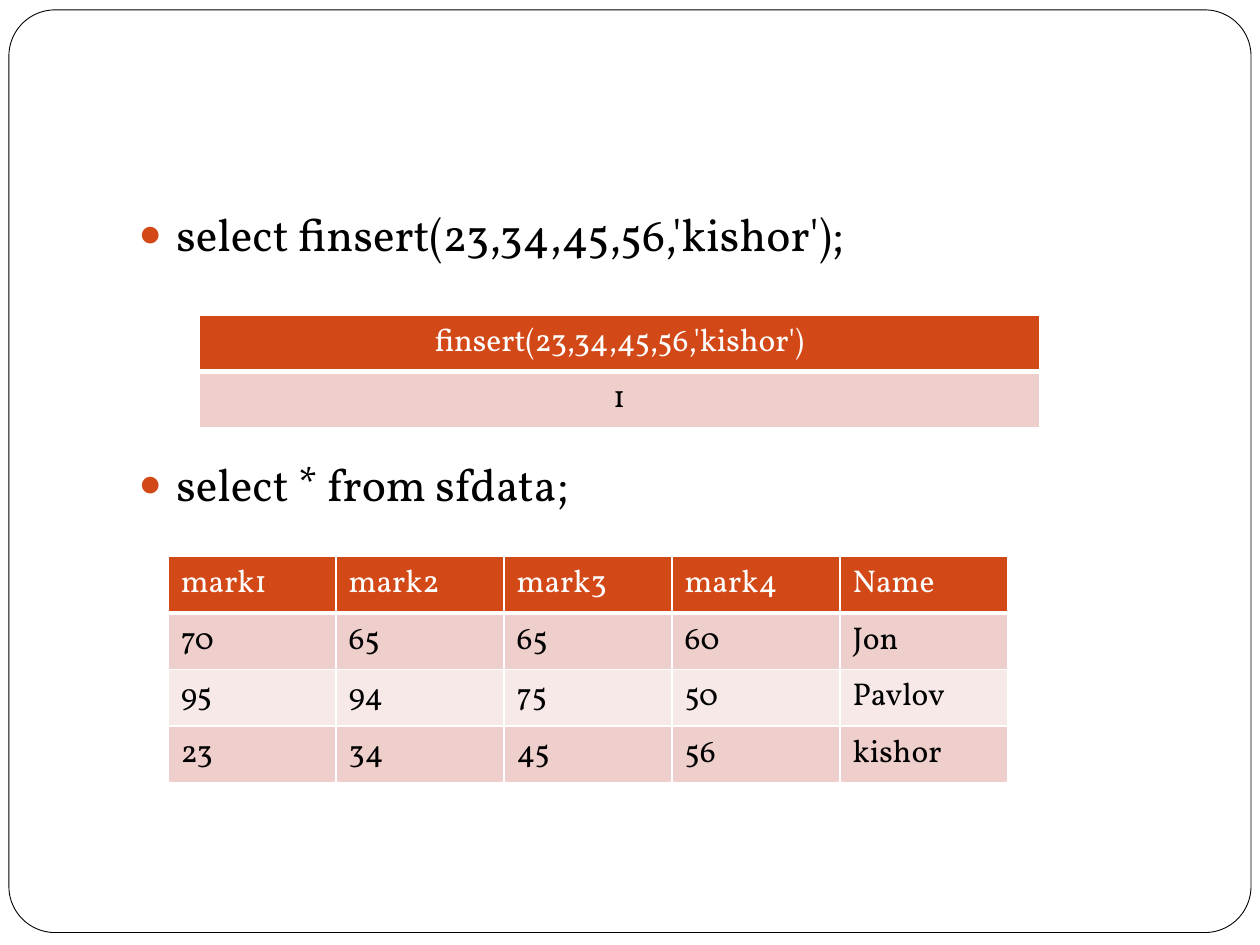
"""Build a slide showing two SQL queries with their result tables."""
import pptx
import pptx.dml.color
import pptx.enum.shapes
import pptx.enum.text
import pptx.oxml
import pptx.oxml.ns
import pptx.util

Cm, Pt = pptx.util.Cm, pptx.util.Pt
ALIGN = pptx.enum.text.PP_ALIGN

THEME = {
    "font": "Vollkorn", "query_size": Pt(26), "cell_size": Pt(18),
    "text": "000000", "paper": "FFFFFF", "accent": "D34817",
    "bands": ("EFCFCC", "F7E9E8"),
}
QUERIES = [
    ("select finsert(23,34,45,56,'kishor');", Pt(5.8)),
    ("select * from sfdata;", Pt(112)),
]
RESULTS = [
    {"left": Cm(4.02), "top": Cm(6.35), "align": ALIGN.CENTER,
     "rows": [["finsert(23,34,45,56,'kishor')"], ["1"]]},
    {"left": Cm(3.39), "top": Cm(11.22), "align": ALIGN.LEFT,
     "rows": [["mark1", "mark2", "mark3", "mark4", "Name"],
              ["70", "65", "65", "60", "Jon"],
              ["95", "94", "75", "50", "Pavlov"],
              ["23", "34", "45", "56", "kishor"]]},
]
RESULT_WIDTH, ROW_HEIGHT = Cm(16.93), Cm(1.03)


def apply(target, **values):
    for name, value in values.items():
        setattr(target, name, value)


def rgb(color):
    return pptx.dml.color.RGBColor.from_string(color)


def style(paragraph, size, color):
    for run in paragraph.runs:
        apply(run.font, name=THEME["font"], size=size, bold=False)
        run.font.color.rgb = rgb(color)


def add_xml(parent, tag, attributes="", content=""):
    declared = pptx.oxml.ns.nsdecls("a")
    parent.append(pptx.oxml.parse_xml(
        f"<a:{tag} {declared} {attributes}>{content}</a:{tag}>"))


def add_bullet(paragraph):
    properties = paragraph._p.get_or_add_pPr()
    properties.set("marL", str(Cm(0.76)))
    properties.set("indent", str(-Cm(0.76)))
    add_xml(properties, "buClr", content=f'<a:srgbClr val="{THEME["accent"]}"/>')
    add_xml(properties, "buSzPct", 'val="85000"')
    add_xml(properties, "buChar", 'char="●"')


def add_borders(cell, header):
    color = f'<a:solidFill><a:srgbClr val="{THEME["paper"]}"/></a:solidFill>'
    for side in "LRTB":
        width = Pt(3 if header and side == "B" else 1)
        add_xml(cell._tc.get_or_add_tcPr(), f"ln{side}", f'w="{width}"', color)


def add_result(slide, left, top, align, rows):
    table = slide.shapes.add_table(len(rows), len(rows[0]), left, top,
                                   RESULT_WIDTH, ROW_HEIGHT * len(rows)).table
    for r, row in enumerate(rows):
        header = r == 0
        fill = THEME["accent"] if header else THEME["bands"][(r - 1) % 2]
        for c, value in enumerate(row):
            cell = table.cell(r, c)
            cell.text = value
            add_borders(cell, header)
            cell.fill.solid()
            cell.fill.fore_color.rgb = rgb(fill)
            paragraph = cell.text_frame.paragraphs[0]
            paragraph.alignment = align
            style(paragraph, THEME["cell_size"], THEME["paper" if header else "text"])


deck = pptx.Presentation()
apply(deck, slide_width=Cm(25.4), slide_height=Cm(19.05))
slide = deck.slides.add_slide(deck.slide_layouts[1])
title, queries = slide.placeholders
title._element.getparent().remove(title._element)

frame = slide.shapes.add_shape(pptx.enum.shapes.MSO_SHAPE.ROUNDED_RECTANGLE,
                               Cm(0.18), Cm(0.2), Cm(25.04), Cm(18.6))
frame.adjustments[0] = 0.05
frame.shadow.inherit = False
frame.fill.solid()
frame.fill.fore_color.rgb = rgb(THEME["paper"])
frame.line.color.rgb = rgb(THEME["text"])
frame.line.width = Pt(0.5)
queries._element.addprevious(frame._element)

apply(queries, left=Cm(2.54), top=Cm(4.02), width=Cm(21.59), height=Cm(12.7))
queries.text_frame.text = "\n".join(query for query, _ in QUERIES)
queries.text_frame.auto_size = pptx.enum.text.MSO_AUTO_SIZE.NONE
for paragraph, (_, gap) in zip(queries.text_frame.paragraphs, QUERIES):
    paragraph.space_before = gap
    add_bullet(paragraph)
    style(paragraph, THEME["query_size"], THEME["text"])

for result in RESULTS:
    add_result(slide, **result)

deck.save("out.pptx")
